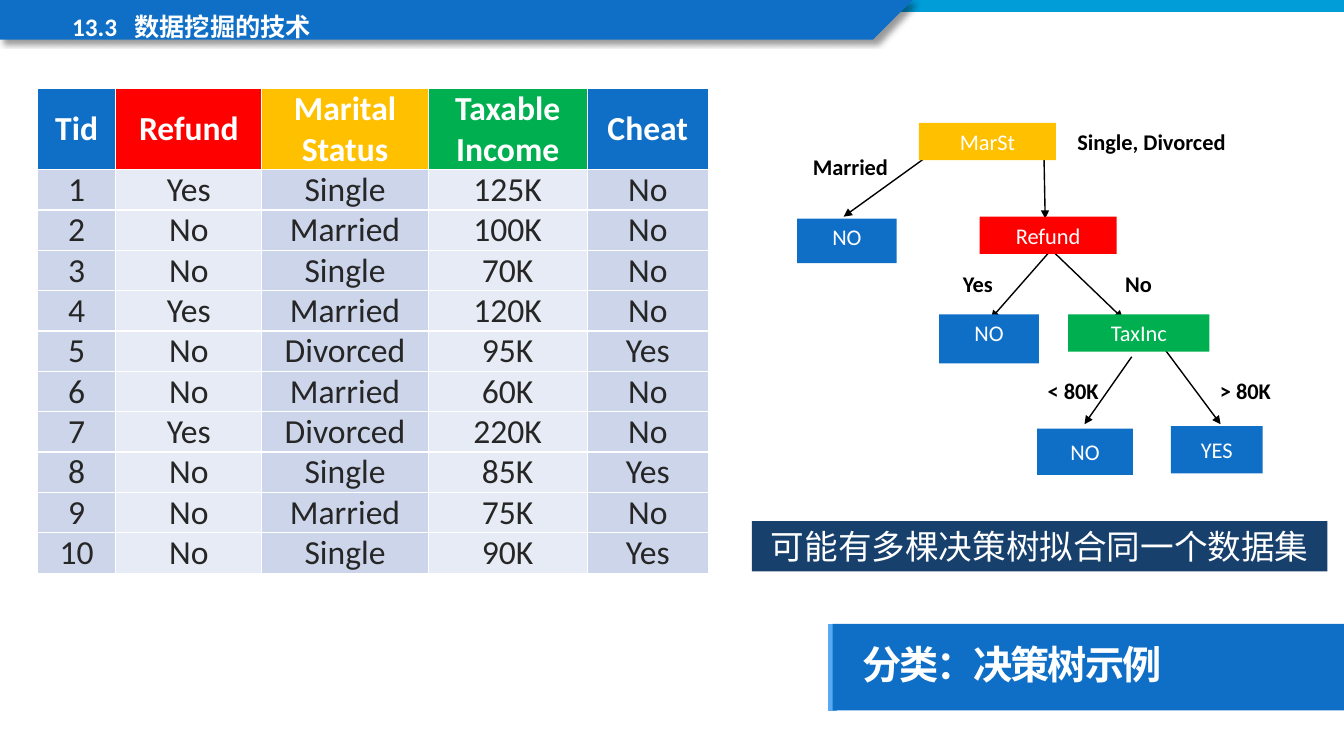
from dataclasses import dataclass

from lxml import etree
from pptx import Presentation, util as u
from pptx.dml.color import RGBColor
from pptx.enum import shapes, text
from pptx.oxml import ns


@dataclass(frozen=True)
class Theme:
    latin: str = "Calibri"
    han: str = "Noto Sans CJK SC"
    white: str = "FFFFFF"
    black: str = "000000"
    ink: str = "262626"
    blue: str = "0F6FC6"
    sky: str = "009DD9"
    pale: str = "59AAF2"
    navy: str = "17406D"
    red: str = "FF0000"
    gold: str = "FFC000"
    green: str = "00B050"
    bands: tuple = ("CCD5EA", "E7EBF5")
    small: int = 16
    mid: int = 18
    large: int = 24
    head: int = 28


T = Theme()
TITLE = "分类：决策树示例"
SECTION = "13.3\t数据挖掘的技术"
NOTE = "可能有多棵决策树拟合同一个数据集"
HEADS = [("Tid", T.blue, 1.98), ("Refund", T.red, 3.68),
         ("Marital\nStatus", T.gold, 4.19),
         ("Taxable\nIncome", T.green, 4.01), ("Cheat", T.blue, 3.05)]
CASES = [
    ("Yes", "Single", "125K", "No"),
    ("No", "Married", "100K", "No"),
    ("No", "Single", "70K", "No"),
    ("Yes", "Married", "120K", "No"),
    ("No", "Divorced", "95K", "Yes"),
    ("No", "Married", "60K", "No"),
    ("Yes", "Divorced", "220K", "No"),
    ("No", "Single", "85K", "Yes"),
    ("No", "Married", "75K", "No"),
    ("No", "Single", "90K", "Yes"),
]
TOP, MID = text.MSO_ANCHOR.TOP, text.MSO_ANCHOR.MIDDLE
LEFT, CENTER, RIGHT = (text.PP_ALIGN.LEFT, text.PP_ALIGN.CENTER,
                       text.PP_ALIGN.RIGHT)
EDGES = [
    (29.36, 8.81, 30.76, 10.69), (28.52, 8.99, 27.33, 10.69),
    (26.47, 6.32, 24.97, 8.03), (26.52, 6.32, 28.3, 8.03),
    (26.31, 3.96, 26.34, 5.51), (23.34, 3.96, 21.26, 5.46),
]
NODES = [
    ("MarSt", T.gold, MID, (23.16, 3.1, 3.45, 0.94)),
    ("Refund", T.red, MID, (24.69, 5.46, 3.45, 0.94)),
    ("TaxInc", T.green, MID, (26.92, 7.92, 3.56, 0.94)),
    ("YES", T.blue, MID, (29.51, 10.74, 2.31, 1.19)),
    ("NO", T.blue, MID, (26.14, 10.8, 2.41, 1.17)),
    ("NO", T.blue, TOP, (20.09, 5.51, 2.51, 1.12)),
    ("NO", T.blue, TOP, (23.67, 7.92, 2.51, 1.24)),
]
LABELS = [
    ("Yes", 24, 6.68, 1.27), ("No", 28.09, 6.68, 1.19),
    ("Married", 20.19, 3.73, 2.44), ("Single, Divorced", 25.98, 3.1, 5.16),
    ("< 80K", 25.3, 9.37, 2.64), ("> 80K", 30.48, 9.37, 1.8),
]


def cms(*vals):
    return [u.Cm(v) for v in vals]


def paint(fill, color):
    fill.solid()
    fill.fore_color.rgb = RGBColor.from_string(color)


def style(frame, size, color, bold=False, align=CENTER, face=T.latin):
    for par in frame.paragraphs:
        par.alignment = align
        font = par.font
        font.name, font.size, font.bold = face, u.Pt(size), bold
        font.color.rgb = RGBColor.from_string(color)


def block(slide, box, color):
    shape = slide.shapes.add_shape(shapes.MSO_SHAPE.RECTANGLE, *cms(*box))
    shape.shadow.inherit = False
    paint(shape.fill, color)
    shape.line.fill.background()
    return shape


def line(slide, ends, color, width):
    link = slide.shapes.add_connector(
        shapes.MSO_CONNECTOR.STRAIGHT, *cms(*ends))
    link.line.color.rgb = RGBColor.from_string(color)
    link.line.width = u.Pt(width)
    etree.SubElement(link._element.spPr, ns.qn("a:effectLst"))
    return link


def banner(slide):
    block(slide, (0, 0, 33.87, 0.3), T.sky)
    form = slide.shapes.build_freeform(0, 0, scale=u.Cm(1))
    form.add_line_segments([(23.14, 0), (22.17, 1.27), (0, 1.27)], close=True)
    shape = form.convert_to_shape()
    shape.shadow.inherit = False
    paint(shape.fill, T.blue)
    shape.line.fill.background()
    fx = shape._element.spPr.find(ns.qn("a:effectLst"))
    shade = etree.SubElement(
        fx, ns.qn("a:outerShdw"), blurRad=str(u.Pt(4)), dist=str(u.Pt(3)),
        dir="2700000", algn="tl", rotWithShape="0")
    tone = etree.SubElement(shade, ns.qn("a:srgbClr"), val=T.black)
    etree.SubElement(tone, ns.qn("a:alpha"), val="40000")
    frame = slide.shapes.add_textbox(*cms(1.57, 0.18, 17.68, 0.97)).text_frame
    frame.word_wrap, frame.vertical_anchor = True, MID
    frame.text = SECTION
    props = frame.paragraphs[0]._p.get_or_add_pPr()
    tabs = etree.SubElement(props, ns.qn("a:tabLst"))
    etree.SubElement(tabs, ns.qn("a:tab"), pos=str(u.Cm(1.57)), algn="l")
    style(frame, T.mid, T.white, True, LEFT)


def heading(slide):
    title = slide.shapes.title
    title.left, title.top, title.width, title.height = cms(
        20.98, 15.72, 12.89, 2.18)
    paint(title.fill, T.blue)
    frame = title.text_frame
    frame.text = TITLE
    frame.auto_size = text.MSO_AUTO_SIZE.NONE
    frame.word_wrap, frame.vertical_anchor = True, MID
    (frame.margin_left, frame.margin_top, frame.margin_right,
     frame.margin_bottom) = cms(0.76, 0.51, 0.51, 0.51)
    frame.paragraphs[0].line_spacing = 0.9
    style(frame, T.head, T.white, True, LEFT, T.han)
    frame.paragraphs[0].runs[0]._r.get_or_add_rPr().set("spc", "-150")
    bar = line(slide, (20.98, 17.91, 20.98, 15.72), T.pale, 6)
    title._element.addprevious(bar._element)


def grid(slide):
    rows = [[head for head, _, _ in HEADS]]
    rows += [(str(n), *case) for n, case in enumerate(CASES, 1)]
    table = slide.shapes.add_table(
        len(rows), len(HEADS), *cms(0.94, 2.24, 16.91, 10.9)).table
    for col, (_, _, width) in zip(table.columns, HEADS):
        col.width = u.Cm(width)
    for r, row in enumerate(rows):
        table.rows[r].height = u.Cm(0.94 if r else 1.5)
        for c, word in enumerate(row):
            cell = table.cell(r, c)
            cell.text = word
            cell.vertical_anchor = MID
            cell.margin_left = cell.margin_right = u.Cm(0.15)
            cell.margin_top = cell.margin_bottom = 0
            paint(cell.fill, T.bands[c % 2] if r else HEADS[c][1])
            style(cell.text_frame, T.large, T.ink if r else T.white, not r)


def tree(slide):
    for ends in EDGES:
        link = line(slide, ends, T.black, 1)
        etree.SubElement(link.line._get_or_add_ln(), ns.qn("a:tailEnd"),
                         type="triangle")
    for word, color, anchor, box in NODES:
        frame = block(slide, box, color).text_frame
        frame.text, frame.vertical_anchor = word, anchor
        style(frame, T.small, T.white)
    for word, x, y, width in LABELS:
        frame = slide.shapes.add_textbox(*cms(x, y, width, 0.94)).text_frame
        frame.text, frame.word_wrap = word, False
        style(frame, T.small, T.black, True, RIGHT)


def main():
    deck = Presentation()
    deck.slide_width, deck.slide_height = cms(33.87, 19.05)
    slide = deck.slides.add_slide(deck.slide_layouts[5])
    heading(slide)
    banner(slide)
    grid(slide)
    tree(slide)
    frame = block(slide, (18.95, 13.13, 14.5, 1.27), T.navy).text_frame
    frame.text, frame.vertical_anchor = NOTE, MID
    style(frame, T.large, T.white)
    deck.save("out.pptx")


if __name__ == "__main__":
    main()
